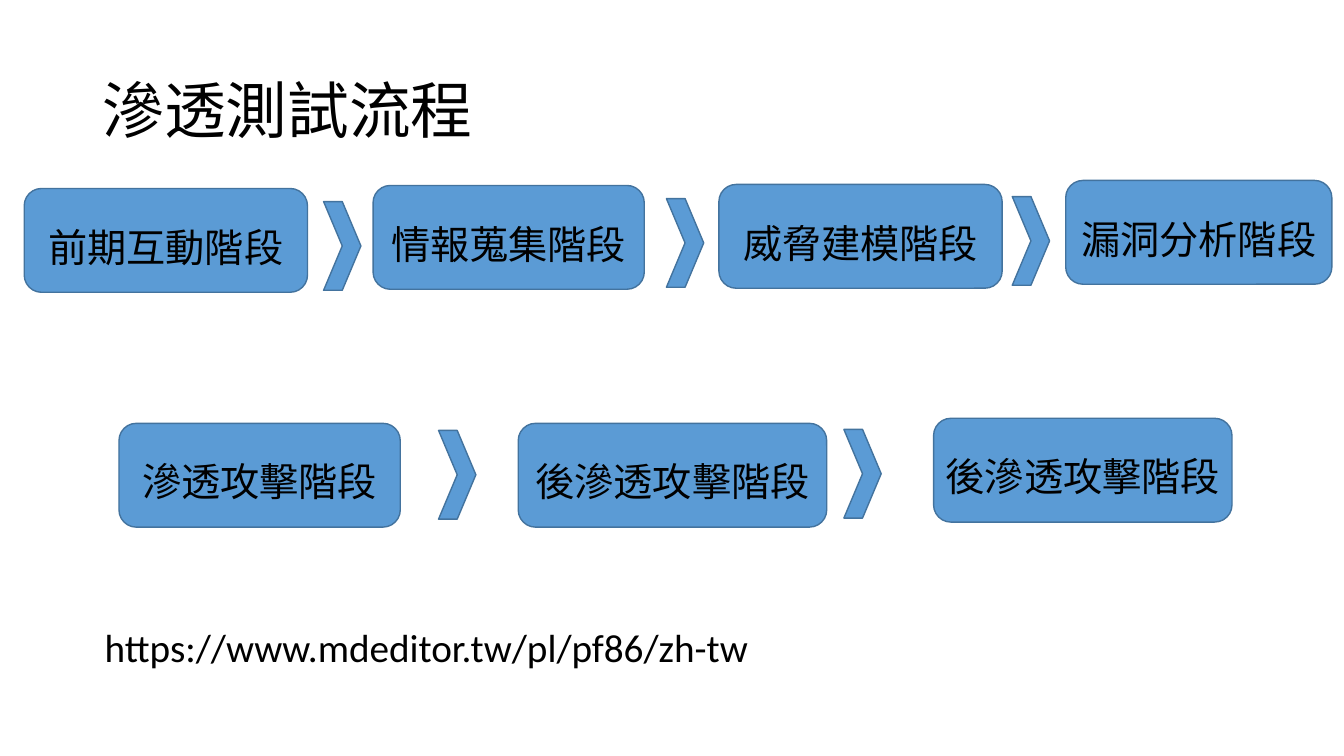
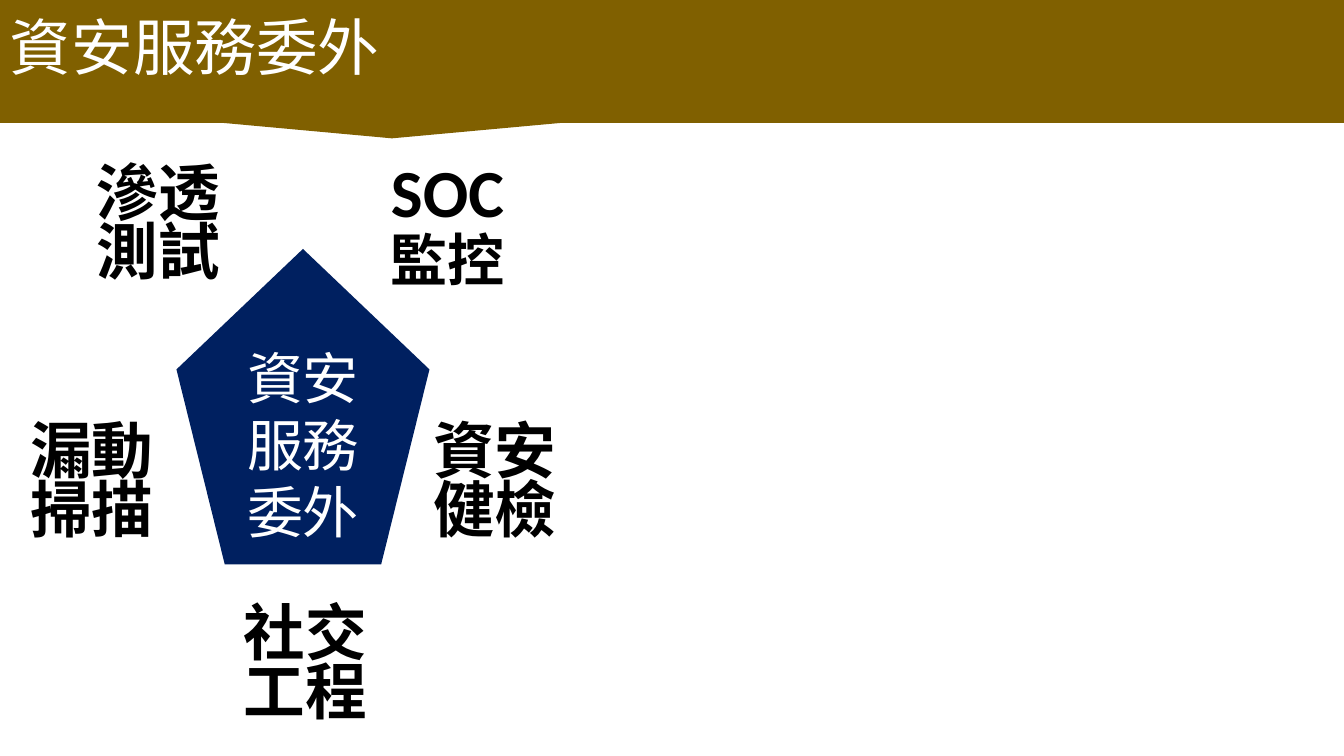
from pptx import Presentation
from pptx.dml.color import RGBColor
from pptx.enum.shapes import MSO_SHAPE
from pptx.enum.text import MSO_ANCHOR, PP_ALIGN
from pptx.oxml.ns import qn
from pptx.util import Inches, Pt
from lxml import etree

BLACK = RGBColor(0x00, 0x00, 0x00)
WHITE = RGBColor(0xFF, 0xFF, 0xFF)
BLUE = RGBColor(0x5B, 0x9B, 0xD5)
BLUE_EDGE = RGBColor(0x43, 0x73, 0x9E)
NAVY = RGBColor(0x00, 0x20, 0x60)
BROWN = RGBColor(0x80, 0x60, 0x00)

LATIN_FONT = "Calibri"
CJK_FONT = "Noto Sans CJK SC"
TITLE_SIZE = 44
FLOW_SIZE = 28

STAGE_HEIGHT = 1.03
CHEVRON_SIZE = (0.37, 0.88)

# text, left, top, width
STAGES = [
    ("前期互動階段", 0.24, 1.87, 2.81),
    ("情報蒐集階段", 3.7, 1.84, 2.69),
    ("威脅建模階段", 7.13, 1.83, 2.81),
    ("漏洞分析階段", 10.57, 1.79, 2.64),
    ("滲透攻擊階段", 1.18, 4.2, 2.79),
    ("後滲透攻擊階段", 5.14, 4.2, 3.06),
    ("後滲透攻擊階段", 9.26, 4.15, 2.96),
]
CHEVRONS = [(3.21, 2), (6.61, 1.97), (10.04, 1.95), (4.35, 4.27), (8.37, 4.26)]

# text, left, top, width
SERVICES = [
    ("滲透測試", 0.86, 1.62, 1.86),
    ("資安健檢", 4.2, 4.18, 1.64),
    ("社交工程", 2.32, 5.98, 1.64),
    ("漏動掃描", 0.2, 4.18, 1.64),
]
SERVICE_HEIGHT = 1.42


def write(tf, lines, size, color=BLACK, font=LATIN_FONT, bold=False,
          align=PP_ALIGN.LEFT, spacing=None):
    """Fill a text frame with one paragraph per line and return the paragraphs."""
    tf.word_wrap = True
    for i, line in enumerate(lines):
        p = tf.paragraphs[0] if i == 0 else tf.add_paragraph()
        r = p.add_run()
        r.text = line
        p.alignment = align
        p.line_spacing = spacing
        p.font.size = Pt(size)
        p.font.bold = bold
        p.font.color.rgb = color
        p.font.name = font
        # The East Asian typeface has no python-pptx property.
        r_pr = r._r.get_or_add_rPr()
        etree.SubElement(r_pr, qn("a:ea")).set("typeface", font)
    return tf.paragraphs


def add_text(s, box, lines, size, **style):
    sp = s.shapes.add_textbox(*map(Inches, box))
    write(sp.text_frame, lines, size, **style)
    return sp


def add_filled(s, kind, box, fill, edge=None):
    sp = s.shapes.add_shape(kind, *map(Inches, box))
    sp.shadow.inherit = False
    sp.fill.solid()
    sp.fill.fore_color.rgb = fill
    if edge is None:
        sp.line.fill.background()
    else:
        sp.line.color.rgb = edge
        sp.line.width = Pt(1)
    sp.text_frame.vertical_anchor = MSO_ANCHOR.MIDDLE
    return sp


def add_stage(s, text, left, top, width):
    sp = add_filled(s, MSO_SHAPE.ROUNDED_RECTANGLE,
                    (left, top, width, STAGE_HEIGHT), BLUE, BLUE_EDGE)
    tf = sp.text_frame
    tf.margin_left = tf.margin_right = tf.margin_bottom = 0
    tf.margin_top = Inches(0.12)
    write(tf, [text], FLOW_SIZE, font=CJK_FONT, align=PP_ALIGN.CENTER)


def add_banner(s, title):
    sp = add_filled(s, MSO_SHAPE.RECTANGULAR_CALLOUT, (0, 0, 13.33, 1.22), BROWN)
    sp.text_frame.margin_bottom = Inches(0.35)
    write(sp.text_frame, [title], TITLE_SIZE, color=WHITE)


def add_service(s, text, left, top, width):
    add_text(s, (left, top, width, SERVICE_HEIGHT), [text], 44,
             bold=True, spacing=0.8)


def build_process_slide(s):
    title = add_text(s, (0.92, 0.4, 11.5, 1.45), ["滲透測試流程"], TITLE_SIZE,
                     font=CJK_FONT, spacing=0.9)
    title.text_frame.vertical_anchor = MSO_ANCHOR.MIDDLE
    for stage in STAGES:
        add_stage(s, *stage)
    for position in CHEVRONS:
        add_filled(s, MSO_SHAPE.CHEVRON, position + CHEVRON_SIZE, BLUE, BLUE_EDGE)
    add_text(s, (0.94, 6.19, 11.5, 0.83),
             ["https://www.mdeditor.tw/pl/pf86/zh-tw"], FLOW_SIZE, spacing=0.9)


def build_services_slide(s):
    core = add_filled(s, MSO_SHAPE.REGULAR_PENTAGON, (1.75, 2.47, 2.51, 3.13), NAVY)
    write(core.text_frame, ["資安", "服務", "委外"], 40, color=WHITE,
          align=PP_ALIGN.CENTER)
    add_banner(s, "資安服務委外")
    for service in SERVICES:
        add_service(s, *service)
    soc = add_text(s, (3.78, 1.66, 1.54, SERVICE_HEIGHT), ["SOC", "監控"], 48.1,
                   bold=True, spacing=0.7)
    p = soc.text_frame.paragraphs[1]
    p.font.size = Pt(40.7)
    p.space_before = Pt(10)


def main():
    prs = Presentation()
    prs.slide_width, prs.slide_height = Inches(13.33), Inches(7.5)
    for build in (build_process_slide, build_services_slide):
        build(prs.slides.add_slide(prs.slide_layouts[6]))
    prs.save("out.pptx")


if __name__ == "__main__":
    main()
